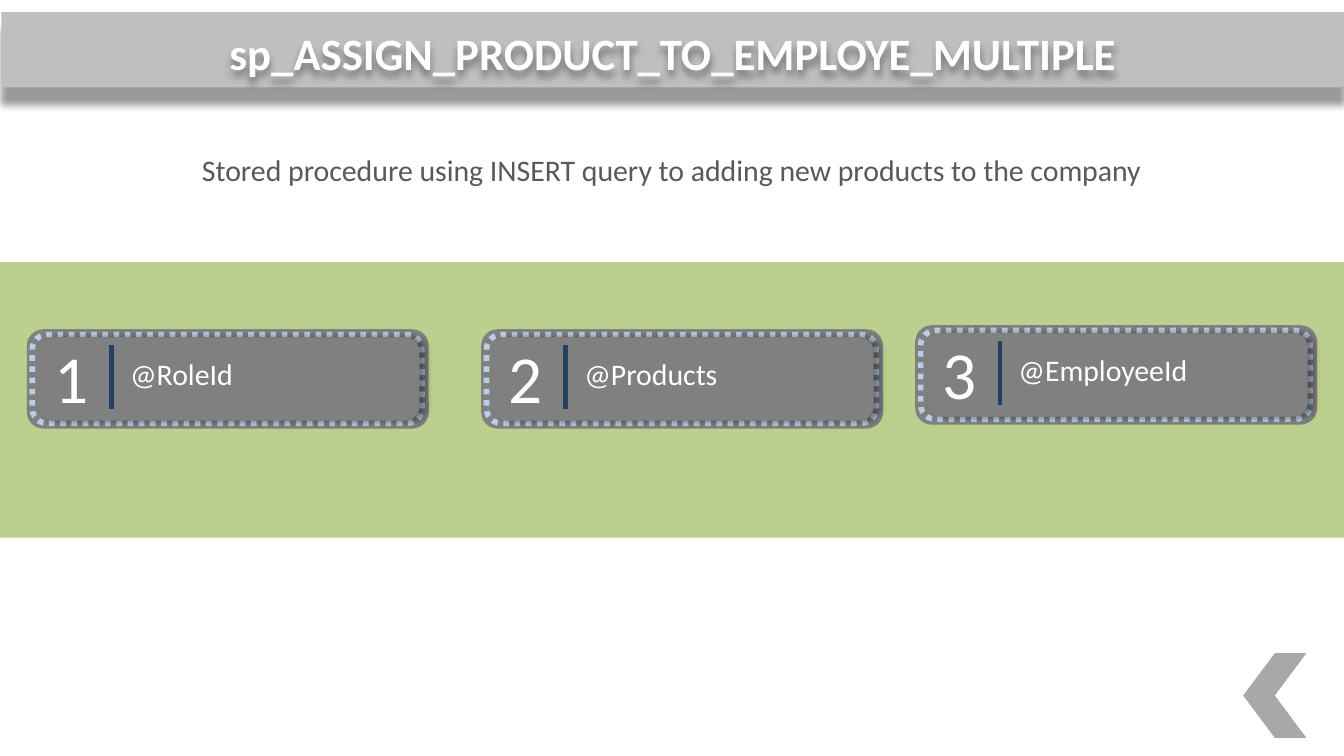
from dataclasses import dataclass

from lxml.etree import SubElement
from pptx import Presentation
from pptx.dml.color import RGBColor
from pptx.enum.dml import MSO_LINE
from pptx.enum.shapes import MSO_CONNECTOR, MSO_SHAPE
from pptx.enum.text import MSO_ANCHOR, MSO_AUTO_SIZE, PP_ALIGN
from pptx.oxml.ns import qn
from pptx.shapes.autoshape import Shape
from pptx.slide import Slide
from pptx.util import Inches, Pt


@dataclass(frozen=True)
class Theme:
    font: str = "Calibri"
    white: str = "FFFFFF"
    green: str = "9BBB59"
    gray: str = "808080"
    bar: str = "BFBFBF"
    stitch: str = "B9CDE5"
    divider: str = "254061"
    body: str = "595959"
    shadow: str = "000000"
    title_size: int = 24
    body_size: int = 16
    number_size: int = 36


@dataclass(frozen=True)
class Box:
    left: float
    top: float
    width: float
    height: float

    def lengths(self) -> tuple:
        return tuple(Inches(value) for value in (self.left, self.top, self.width, self.height))


@dataclass(frozen=True)
class Parameter:
    name: str
    left: float
    top: float


THEME = Theme()
SLIDE_WIDTH = 10
SLIDE_HEIGHT = SLIDE_WIDTH * 9 / 16
PARAMETERS = (
    Parameter("@RoleId", 0.2, 2.45),
    Parameter("@Products", 3.58, 2.45),
    Parameter("@EmployeeId", 6.81, 2.42),
)


def add_shadow(shape: Shape, distance: float, angle: int) -> None:
    """Give the shape a soft outer shadow; distance in points, angle in degrees."""
    shape.shadow.inherit = False
    effects = shape._element.spPr.find(qn("a:effectLst"))
    shadow = SubElement(effects, qn("a:outerShdw"), blurRad=str(Pt(4)), dist=str(Pt(distance)),
                        dir=str(angle * 60000), algn="t", rotWithShape="0")
    color = SubElement(shadow, qn("a:srgbClr"), val=THEME.shadow)
    SubElement(color, qn("a:alpha"), val="40000")


def add_filled_shape(slide: Slide, kind: MSO_SHAPE, box: Box, color: str, opacity: int = 100) -> Shape:
    shape = slide.shapes.add_shape(kind, *box.lengths())
    shape.shadow.inherit = False
    shape.line.fill.background()
    shape.fill.solid()
    shape.fill.fore_color.rgb = RGBColor.from_string(color)
    if opacity < 100:
        color_element = shape._element.spPr.find(f"{qn('a:solidFill')}/{qn('a:srgbClr')}")
        SubElement(color_element, qn("a:alpha"), val=str(opacity * 1000))
    return shape


def add_text(slide: Slide, text: str, box: Box, size: int, color: str,
             align: PP_ALIGN = PP_ALIGN.CENTER, bold: bool = False) -> Shape:
    shape = slide.shapes.add_textbox(*box.lengths())
    frame = shape.text_frame
    frame.word_wrap = True
    frame.auto_size = MSO_AUTO_SIZE.SHAPE_TO_FIT_TEXT
    paragraph = frame.paragraphs[0]
    paragraph.alignment = align
    run = paragraph.add_run()
    run.text = text
    run.font.color.rgb = RGBColor.from_string(color)
    for name, value in {"name": THEME.font, "size": Pt(size), "bold": bold}.items():
        setattr(run.font, name, value)
    return shape


def add_divider(slide: Slide, left: float, top: float, height: float) -> None:
    divider = slide.shapes.add_connector(MSO_CONNECTOR.STRAIGHT, Inches(left), Inches(top),
                                         Inches(left), Inches(top + height))
    divider.line.width = Pt(2.5)
    divider.line.color.rgb = RGBColor.from_string(THEME.divider)
    SubElement(divider._element.spPr, qn("a:effectLst"))


def add_parameter(slide: Slide, number: int, parameter: Parameter) -> None:
    """Draw a stitched card with its number, divider and parameter name."""
    left, top = parameter.left, parameter.top
    card, stitched, inner = (
        add_filled_shape(slide, MSO_SHAPE.ROUNDED_RECTANGLE, box, THEME.gray)
        for box in (Box(left, top, 2.99, 0.74),
                    Box(left + 0.04, top + 0.04, 2.9, 0.66),
                    Box(left + 0.09, top + 0.06, 2.83, 0.62))
    )
    stitched.line.color.rgb = RGBColor.from_string(THEME.stitch)
    stitched.line.width = Pt(3)
    stitched.line.dash_style = MSO_LINE.ROUND_DOT
    add_shadow(inner, distance=3, angle=0)
    add_text(slide, str(number), Box(left + 0.01, top, 0.64, 0.71), THEME.number_size, THEME.white)
    add_divider(slide, left + 0.63, top + 0.12, 0.47)
    add_text(slide, parameter.name, Box(left + 0.67, top + 0.15, 2.33, 0.37),
             THEME.body_size, THEME.white, PP_ALIGN.LEFT)


def add_title(slide: Slide, text: str) -> None:
    bar = add_filled_shape(slide, MSO_SHAPE.RECTANGLE, Box(0.01, 0.09, 9.99, 0.56), THEME.bar)
    add_shadow(bar, distance=9, angle=90)
    title = add_text(slide, text, Box(0.01, 0.15, 9.99, 0.53), THEME.title_size, THEME.white, bold=True)
    add_shadow(title, distance=3, angle=90)
    frame_format = {
        "auto_size": MSO_AUTO_SIZE.NONE,
        "vertical_anchor": MSO_ANCHOR.TOP,
        "margin_left": Inches(0.07),
        "margin_right": Inches(0.07),
        "margin_top": Inches(0.04),
        "margin_bottom": Inches(0.04),
    }
    for name, value in frame_format.items():
        setattr(title.text_frame, name, value)


def main() -> None:
    presentation = Presentation()
    presentation.slide_width = Inches(SLIDE_WIDTH)
    presentation.slide_height = Inches(SLIDE_HEIGHT)
    slide = presentation.slides.add_slide(presentation.slide_layouts[6])

    add_filled_shape(slide, MSO_SHAPE.RECTANGLE, Box(0, 1.95, SLIDE_WIDTH, 2.05), THEME.green, opacity=68)
    add_title(slide, "sp_ASSIGN_PRODUCT_TO_EMPLOYE_MULTIPLE")
    for number, parameter in enumerate(PARAMETERS, start=1):
        add_parameter(slide, number, parameter)
    add_text(slide, "Stored procedure using INSERT query to adding new products to the company",
             Box(0, 1.08, SLIDE_WIDTH, 0.37), THEME.body_size, THEME.body)
    back_arrow = add_filled_shape(slide, MSO_SHAPE.CHEVRON, Box(9.25, 4.86, 0.47, 0.63),
                                  THEME.gray, opacity=68)
    back_arrow.rotation = 180

    presentation.save("out.pptx")


if __name__ == "__main__":
    main()
